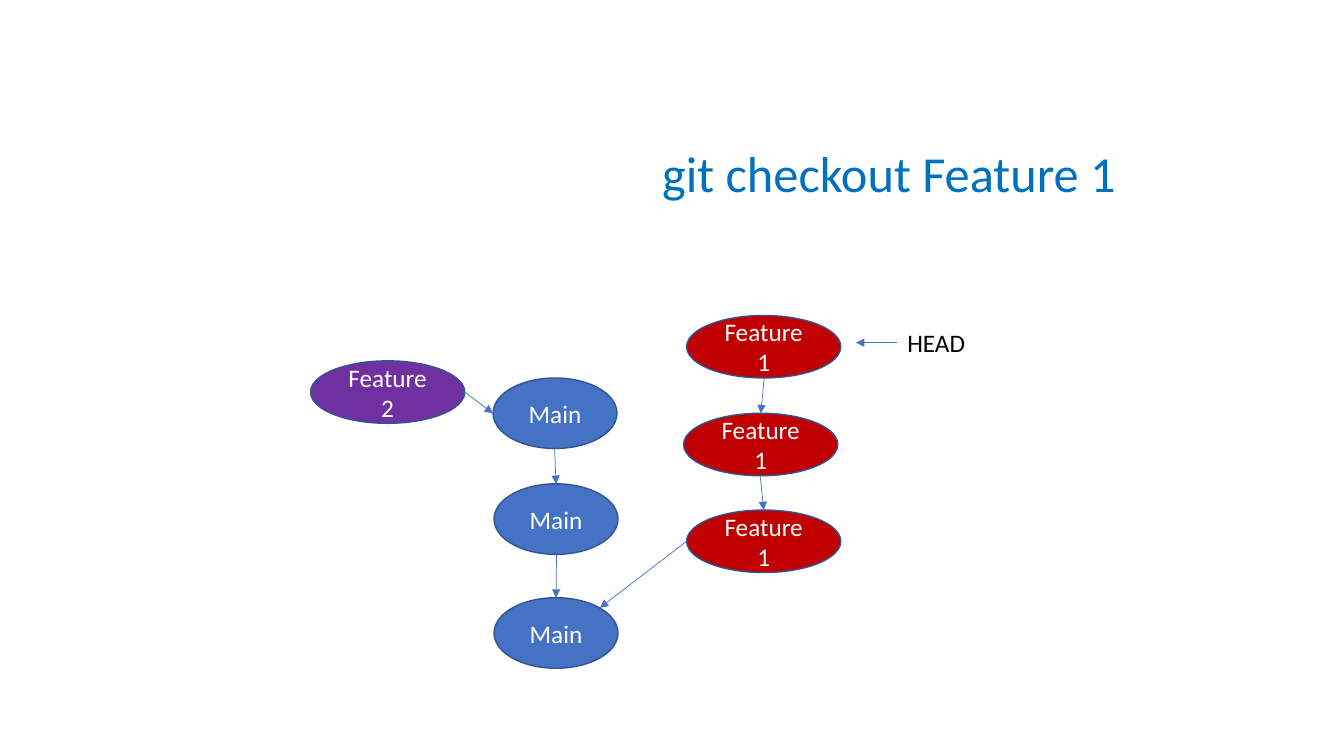
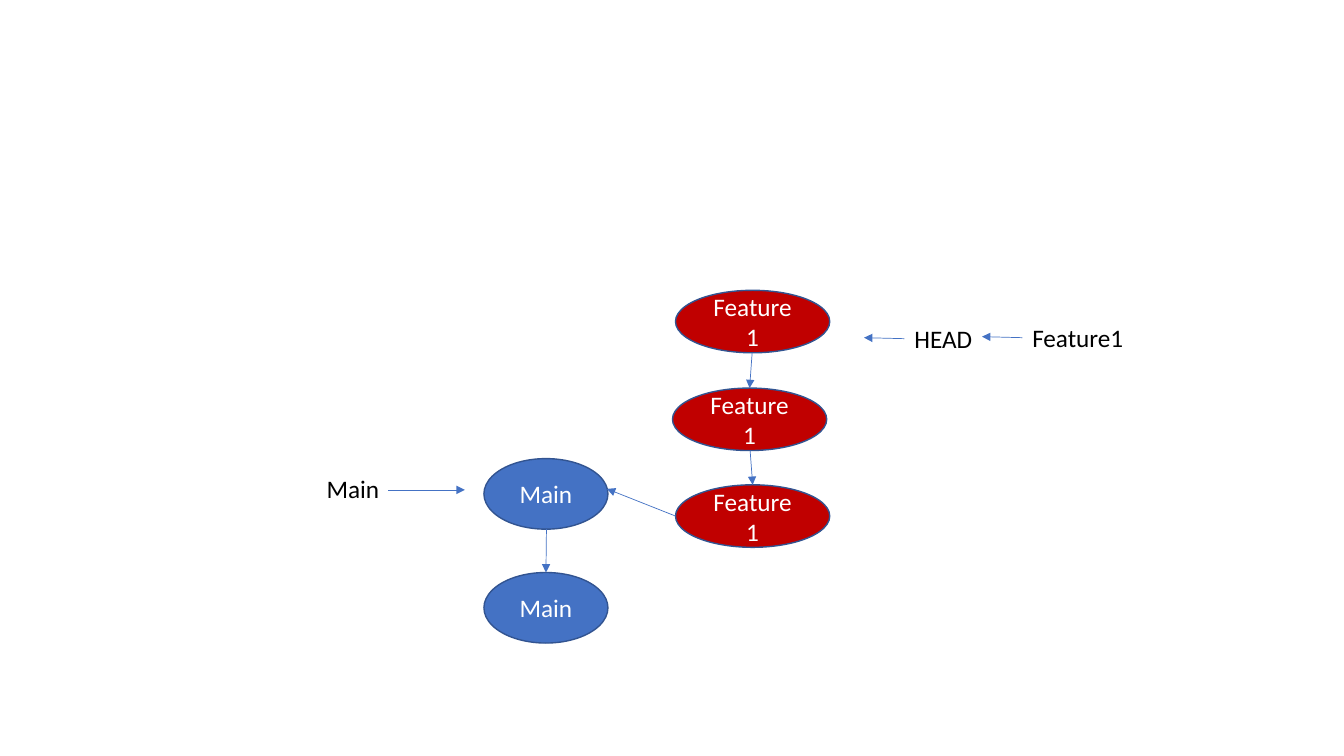
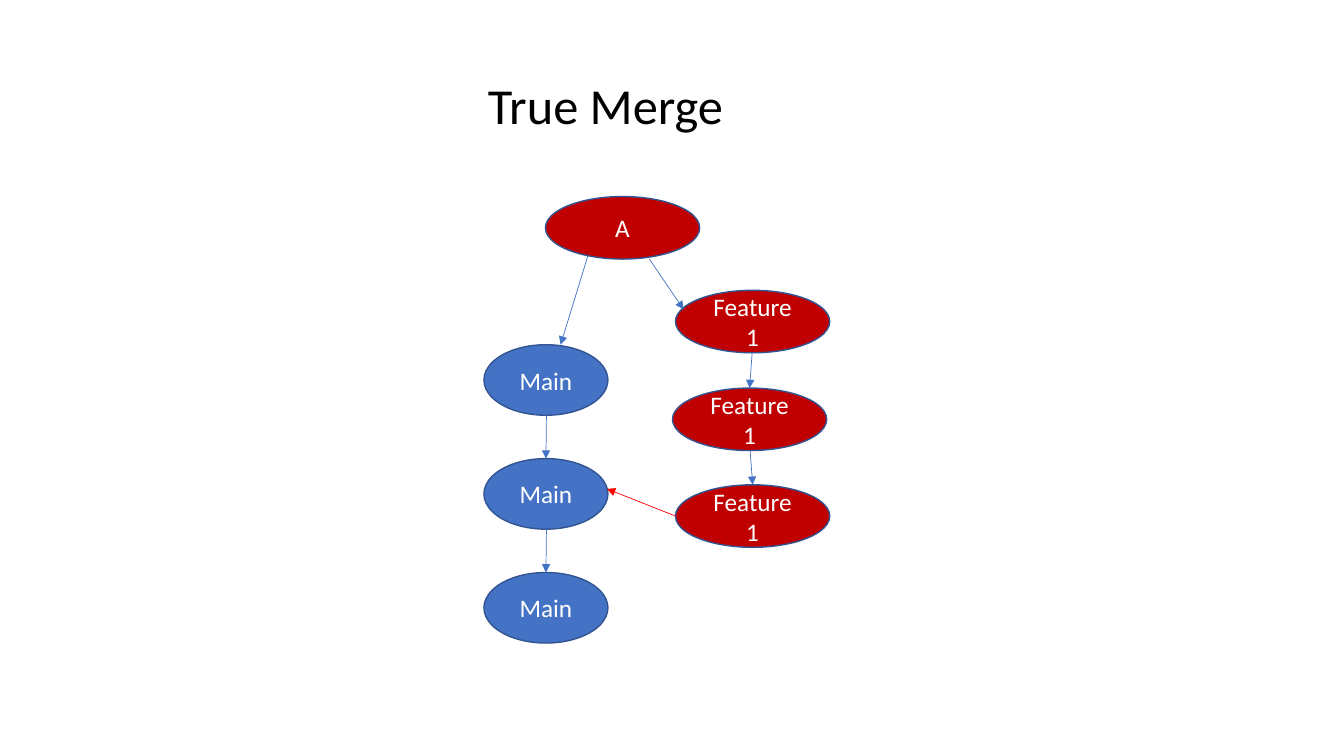
"""Build three slides of git branch diagrams."""
from dataclasses import dataclass

from lxml.etree import SubElement
from pptx import Presentation
from pptx.dml.color import RGBColor as RGB
from pptx.enum.shapes import MSO_CONNECTOR as CONN, MSO_SHAPE as SHAPE
from pptx.enum.text import MSO_ANCHOR as ANCHOR, MSO_AUTO_SIZE as AUTO, PP_ALIGN as ALIGN
from pptx.oxml.ns import qn
from pptx.shapes.autoshape import Shape
from pptx.slide import Slide
from pptx.util import Emu, Pt

PX = 9144
FONT = "Calibri"
COLORS = {
    "main": "4472C4",
    "feature": "C00000",
    "feature2": "7030A0",
    "outline": "325491",
    "arrow": "4472C4",
    "merge": "FF0000",
    "white": "FFFFFF",
    "black": "000000",
    "command": "0070C0",
}
MAIN_SIZE = (123, 70)
FEATURE_SIZE = (153, 62)
MAIN_STEP = 113
FEATURE_OFFSETS = ((0, 0), (-3, 97), (0, 193))

Point = tuple[int, int]


@dataclass(frozen=True)
class Commit:
    text: str
    color: str
    x: int
    y: int
    size: tuple[int, int] = FEATURE_SIZE

    def at(self, across: float, down: float) -> Point:
        return round(self.x + self.size[0] * across), round(self.y + self.size[1] * down)

    @property
    def top(self) -> Point:
        return self.at(0.5, 0)

    @property
    def bottom(self) -> Point:
        return self.at(0.5, 1)

    @property
    def left(self) -> Point:
        return self.at(0, 0.5)

    @property
    def right(self) -> Point:
        return self.at(1, 0.5)


@dataclass(frozen=True)
class Label:
    text: str
    x: int
    y: int
    width: int
    arrow: tuple[Point, Point]


def px(*values: int) -> list[Emu]:
    return [Emu(v * PX) for v in values]


def rgb(name: str) -> RGB:
    return RGB.from_string(COLORS[name])


def write(sp: Shape, text: str, color: str, size: int = 18) -> None:
    p = sp.text_frame.paragraphs[0]
    p.text = text
    p.font.name, p.font.size = FONT, Pt(size)
    p.font.color.rgb = rgb(color)


def add_text(slide: Slide, text: str, x: int, y: int, width: int, height: int = 40,
             color: str = "black", size: int = 18, wrap: bool = True) -> None:
    sp = slide.shapes.add_textbox(*px(x, y, width, height))
    sp.text_frame.word_wrap = wrap
    sp.text_frame.auto_size = AUTO.SHAPE_TO_FIT_TEXT
    write(sp, text, color, size)


def add_title(slide: Slide, text: str, x: int, y: int, width: int, color: str) -> None:
    add_text(slide, text, x, y, width, 71, color, 36, wrap=False)


def add_commit(slide: Slide, commit: Commit) -> Shape:
    sp = slide.shapes.add_shape(SHAPE.OVAL, *px(commit.x, commit.y, *commit.size))
    sp.shadow.inherit = False
    sp.fill.solid()
    sp.fill.fore_color.rgb = rgb(commit.color)
    sp.line.color.rgb = rgb("outline")
    sp.line.width = Pt(1)
    tf = sp.text_frame
    tf.word_wrap = True
    tf.vertical_anchor = ANCHOR.MIDDLE
    write(sp, commit.text, "white")
    tf.paragraphs[0].alignment = ALIGN.CENTER
    return sp


def add_arrow(slide: Slide, start: Point, end: Point, color: str = "arrow",
              target: Shape | None = None) -> None:
    line = slide.shapes.add_connector(CONN.STRAIGHT, *px(*start, *end))
    line.line.color.rgb = rgb(color)
    line.line.width = Pt(0.5)
    if target is not None:
        line.end_connect(target, 0)
    SubElement(line.line._get_or_add_ln(), qn("a:tailEnd"), type="triangle")
    SubElement(line._element.spPr, qn("a:effectLst"))


def add_label(slide: Slide, label: Label) -> None:
    add_text(slide, label.text, label.x, label.y, label.width)
    add_arrow(slide, *label.arrow)


def add_branch(slide: Slide, commits: list[Commit]) -> list[Commit]:
    shapes = [add_commit(slide, c) for c in commits]
    for newer, older, sp in zip(commits, commits[1:], shapes[1:]):
        add_arrow(slide, newer.bottom, older.top, target=sp)
    return commits


def add_feature(slide: Slide, x: int, y: int) -> list[Commit]:
    return add_branch(slide, [Commit("Feature 1", "feature", x + dx, y + dy)
                              for dx, dy in FEATURE_OFFSETS])


def add_main(slide: Slide, spots: list[Point]) -> list[Commit]:
    return add_branch(slide, [Commit("Main", "main", x, y, MAIN_SIZE) for x, y in spots])


def add_history(slide: Slide, main_count: int, merge_color: str) -> tuple[list[Commit], list[Commit]]:
    main = add_main(slide, [(480, 568 - MAIN_STEP * i) for i in reversed(range(main_count))])
    feature = add_feature(slide, 670, 288)
    add_arrow(slide, feature[-1].left, (602, 485), merge_color)
    return main, feature


def checkout_slide(slide: Slide) -> None:
    main = add_main(slide, [(489, 375), (490, 480), (490, 593)])
    feature = add_feature(slide, 681, 313)
    other = Commit("Feature 2", "feature2", 308, 358)
    add_commit(slide, other)
    add_arrow(slide, other.right, main[0].left)
    add_arrow(slide, feature[-1].left, (595, 603))
    add_label(slide, Label("HEAD", 890, 320, 89, ((890, 340), (849, 340))))
    add_title(slide, "git checkout Feature 1", 647, 136, 474, "command")


def pointers_slide(slide: Slide) -> None:
    add_history(slide, 2, "arrow")
    for label in (
        Label("Feature1", 1014, 315, 120, ((1014, 335), (974, 334))),
        Label("HEAD", 897, 316, 89, ((897, 336), (857, 335))),
        Label("Main", 314, 465, 89, ((385, 486), (461, 486))),
    ):
        add_label(slide, label)


def merge_slide(slide: Slide) -> None:
    add_history(slide, 3, "merge")
    add_commit(slide, Commit("A", "feature", 541, 195))
    add_arrow(slide, (583, 254), (556, 342))
    add_arrow(slide, (644, 257), (678, 307))
    add_title(slide, "True Merge", 474, 69, 256, "black")


def main() -> None:
    prs = Presentation()
    prs.slide_width, prs.slide_height = px(1333, 750)
    for build in (checkout_slide, pointers_slide, merge_slide):
        build(prs.slides.add_slide(prs.slide_layouts[6]))
    prs.save("out.pptx")


if __name__ == "__main__":
    main()
